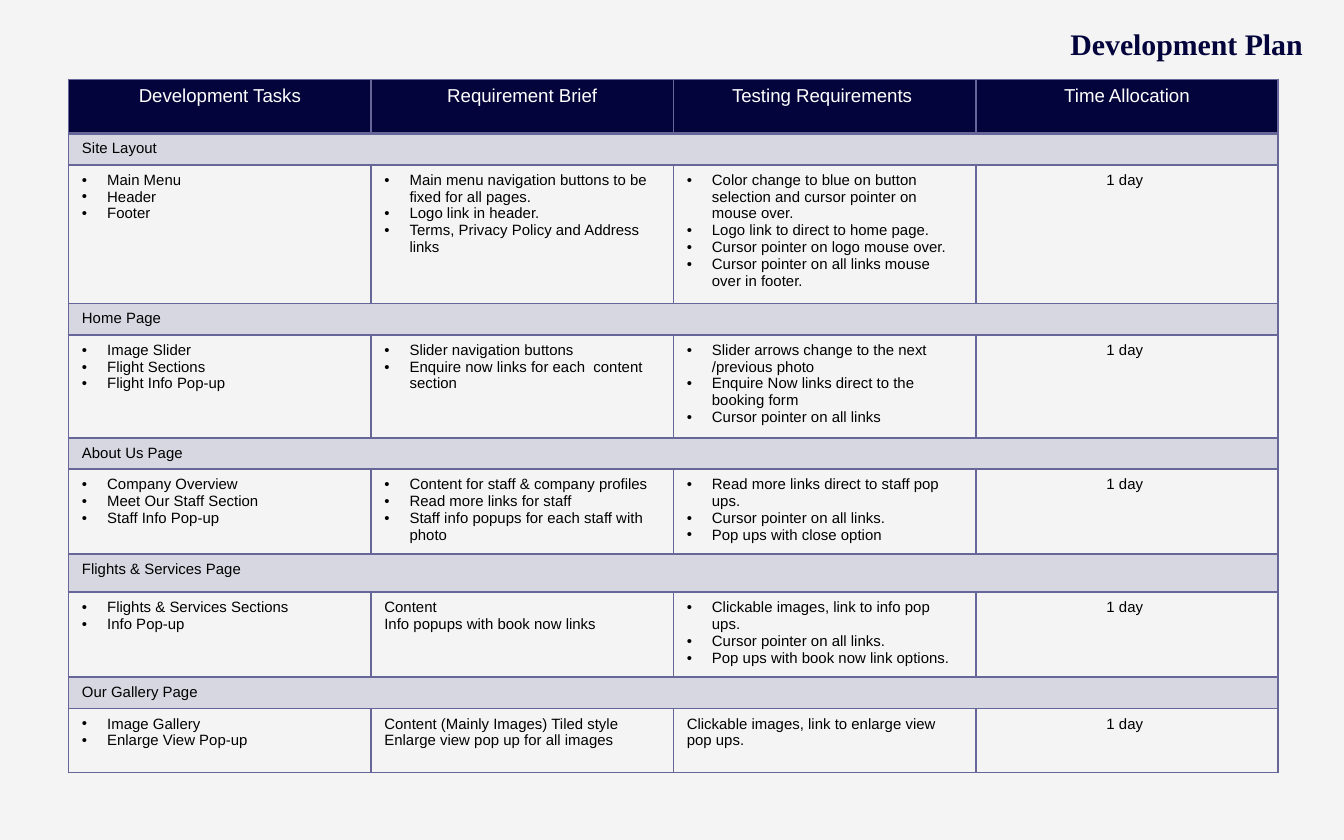
from dataclasses import dataclass
from typing import Any

from lxml.etree import SubElement
from pptx import Presentation
from pptx.dml.color import RGBColor
from pptx.enum.text import MSO_ANCHOR, PP_ALIGN
from pptx.oxml.ns import qn
from pptx.util import Pt

NAVY, VIOLET, LILAC, PALE = "04043C", "666699", "D7D7E1", "F4F4F4"
WHITE, BLACK = "FFFFFF", "000000"
COLUMN_WIDTH = 162
HEADER_HEIGHT = 29
INDENT = 13.5


@dataclass(frozen=True)
class Entry:
    lines: tuple[str, ...]
    bulleted: bool = True


@dataclass(frozen=True)
class Section:
    name: str
    name_height: float
    body_height: float
    tasks: Entry
    brief: Entry
    testing: Entry
    time: str = "1 day "


HEADERS = ("Development Tasks", "Requirement Brief", "Testing Requirements ", "Time Allocation")
SECTIONS = (
    Section(
        "Site Layout", 16.5, 73.3,
        Entry(("Main Menu", "Header", "Footer")),
        Entry(("Main menu navigation buttons to be fixed for all pages.",
               "Logo link in header.",
               "Terms, Privacy Policy and Address links")),
        Entry(("Color change to blue on button selection and cursor pointer on mouse over.",
               "Logo link to direct to home page.",
               "Cursor pointer on logo mouse over.",
               "Cursor pointer on all links mouse over in footer.")),
    ),
    Section(
        "Home Page", 16.2, 52.5,
        Entry(("Image Slider", "Flight Sections", "Flight Info Pop-up")),
        Entry(("Slider navigation buttons", "Enquire now links for each  content section")),
        Entry(("Slider arrows change to the next /previous photo",
               "Enquire Now links direct to the booking form",
               "Cursor pointer on all links")),
    ),
    Section(
        "About Us Page", 16.2, 43.4,
        Entry(("Company Overview", "Meet Our Staff Section", "Staff Info Pop-up")),
        Entry(("Content for staff & company profiles",
               "Read more links for staff",
               "Staff info popups for each staff with photo")),
        Entry(("Read more links direct to staff pop ups.",
               "Cursor pointer on all links.",
               "Pop ups with close option")),
    ),
    Section(
        "Flights & Services Page", 20.4, 43.4,
        Entry(("Flights & Services Sections", "Info Pop-up")),
        Entry(("Content", "Info popups with book now links"), False),
        Entry(("Clickable images, link to info pop ups.",
               "Cursor pointer on all links.",
               "Pop ups with book now link options.")),
    ),
    Section(
        "Our Gallery Page", 16.2, 34.3,
        Entry(("Image Gallery", "Enlarge View Pop-up")),
        Entry(("Content (Mainly Images) Tiled style", "Enlarge view pop up for all images"), False),
        Entry(("Clickable images, link to enlarge view pop ups.",), False),
    ),
)

TITLE_FONT = {"name": "Times New Roman", "size": Pt(16), "bold": True}
HEADER_FONT = {"name": "Arial", "size": Pt(10), "bold": False}
BODY_FONT = {"name": "Arial", "size": Pt(8), "bold": False}


def rgb(value: str) -> RGBColor:
    return RGBColor.from_string(value)


def add_bullet(p: Any) -> None:
    pPr = p._p.get_or_add_pPr()
    pPr.set("marL", str(Pt(INDENT)))
    pPr.set("indent", str(-Pt(INDENT)))
    SubElement(pPr, qn("a:buFont"), typeface="Arial")
    SubElement(pPr, qn("a:buChar"), char="•")


def write(tf: Any, entry: Entry, font: dict[str, Any], color: str, align: PP_ALIGN) -> None:
    for i, line in enumerate(entry.lines):
        p = tf.add_paragraph() if i else tf.paragraphs[0]
        p.alignment = align
        if entry.bulleted:
            add_bullet(p)
        r = p.add_run()
        r.text = line
        for key, value in font.items():
            setattr(r.font, key, value)
        r.font.color.rgb = rgb(color)


def style_cell(cell: Any, fill: str | None, bottom: float = 1) -> None:
    tcPr = cell._tc.get_or_add_tcPr()
    for side, width in {"L": 1, "R": 1, "T": 1, "B": bottom}.items():
        ln = SubElement(tcPr, qn(f"a:ln{side}"), w=str(Pt(width)))
        SubElement(SubElement(ln, qn("a:solidFill")), qn("a:srgbClr"), val=VIOLET)
    if fill:
        cell.fill.solid()
        cell.fill.fore_color.rgb = rgb(fill)
    else:
        cell.fill.background()
    cell.vertical_anchor = MSO_ANCHOR.TOP


def add_header(table: Any) -> None:
    table.rows[0].height = Pt(HEADER_HEIGHT)
    for cell, label in zip(table.rows[0].cells, HEADERS):
        style_cell(cell, NAVY, bottom=2)
        write(cell.text_frame, Entry((label,), False), HEADER_FONT, WHITE, PP_ALIGN.CENTER)


def add_section(table: Any, row: int, section: Section) -> None:
    last = len(HEADERS) - 1
    table.rows[row].height = Pt(section.name_height)
    table.rows[row + 1].height = Pt(section.body_height)
    for cell in table.rows[row].cells:
        style_cell(cell, LILAC)
    name = table.cell(row, 0)
    name.merge(table.cell(row, last))
    write(name.text_frame, Entry((section.name,), False), BODY_FONT, BLACK, PP_ALIGN.LEFT)

    entries = (section.tasks, section.brief, section.testing, Entry((section.time,), False))
    for col, entry in enumerate(entries):
        cell = table.cell(row + 1, col)
        style_cell(cell, None)
        align = PP_ALIGN.CENTER if col == last else PP_ALIGN.LEFT
        write(cell.text_frame, entry, BODY_FONT, BLACK, align)


def main() -> None:
    prs = Presentation()
    prs.slide_width, prs.slide_height = Pt(720), Pt(450)
    s = prs.slides.add_slide(prs.slide_layouts[6])
    s.background.fill.solid()
    s.background.fill.fore_color.rgb = rgb(PALE)

    sp = s.shapes.add_textbox(Pt(551.5), Pt(10), Pt(168.5), Pt(26.6))
    tf = sp.text_frame
    tf.word_wrap = True
    write(tf, Entry(("Development Plan",), False), TITLE_FONT, NAVY, PP_ALIGN.CENTER)

    height = HEADER_HEIGHT + sum(x.name_height + x.body_height for x in SECTIONS)
    frame = s.shapes.add_table(
        1 + 2 * len(SECTIONS), len(HEADERS),
        Pt(36.7), Pt(42.5), Pt(COLUMN_WIDTH * len(HEADERS)), Pt(height),
    )
    table = frame.table
    table.horz_banding = False
    for column in table.columns:
        column.width = Pt(COLUMN_WIDTH)
    add_header(table)
    for i, section in enumerate(SECTIONS):
        add_section(table, 1 + 2 * i, section)

    prs.save("out.pptx")


if __name__ == "__main__":
    main()
